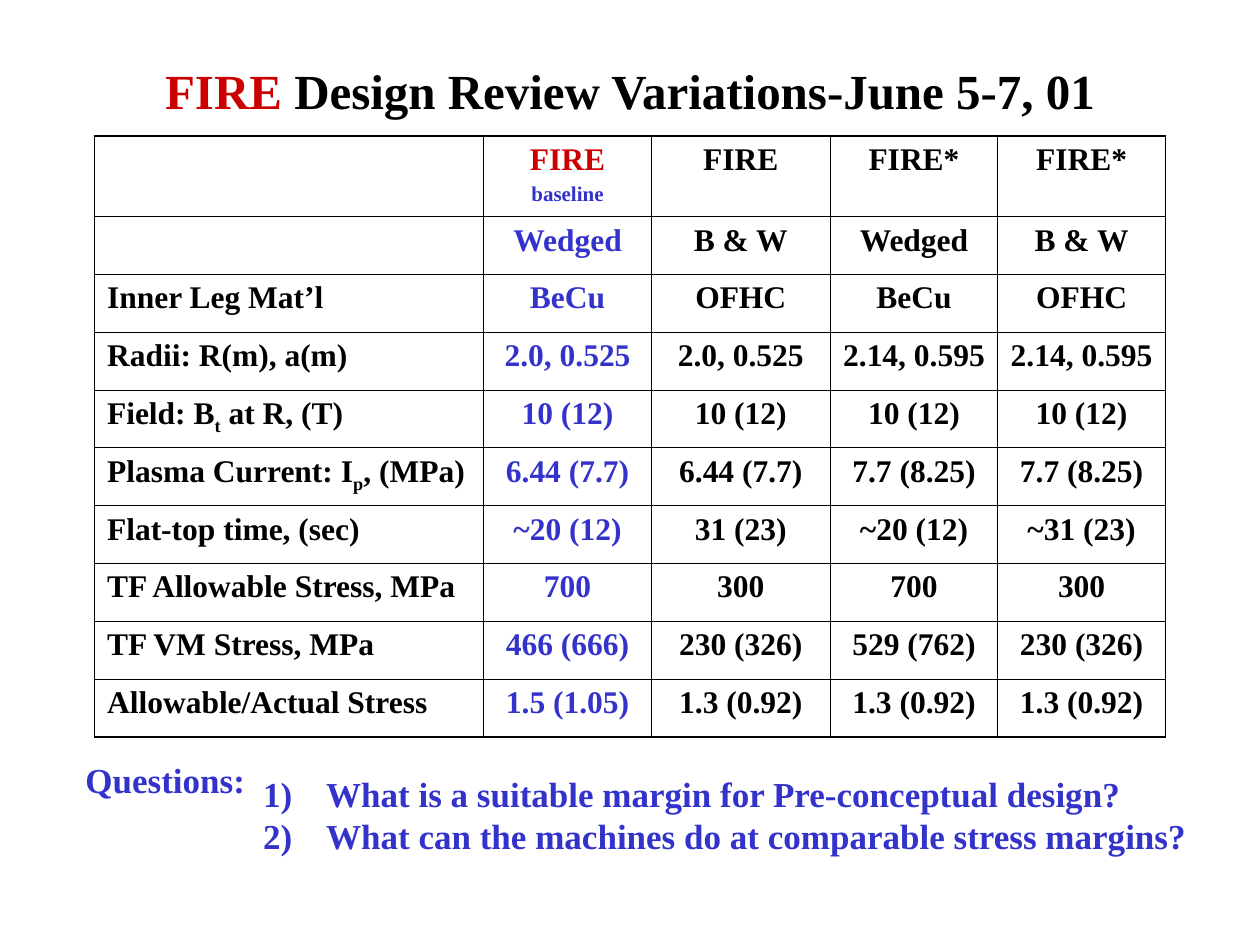
import pptx
import pptx.util
import pptx.dml.color
import pptx.enum.text
import pptx.oxml.ns
import lxml.etree

Inches, Pt = pptx.util.Inches, pptx.util.Pt
CENTER = pptx.enum.text.PP_ALIGN.CENTER
COLORS = {"red": "CC0000", "blue": "3333CC", "black": "000000"}


def add_run(paragraph, text, size, color, baseline=0):
    run = paragraph.add_run()
    run.text = text
    run.font.name = "Times New Roman"
    run.font.size = Pt(size)
    run.font.bold = True
    run.font.color.rgb = pptx.dml.color.RGBColor.from_string(COLORS[color])
    if baseline:
        run.font._element.set("baseline", str(baseline))


def add_element(parent, tag, **attributes):
    return lxml.etree.SubElement(parent, pptx.oxml.ns.qn(tag), **attributes)


deck = pptx.Presentation()
deck.slide_width, deck.slide_height = Inches(10), Inches(7.5)
slide = deck.slides.add_slide(deck.slide_layouts[5])

# Title
title = slide.shapes.title
title.left, title.top = Inches(0.75), Inches(0.42)
title.width, title.height = Inches(8.5), Inches(0.58)
title.text_frame.vertical_anchor = pptx.enum.text.MSO_ANCHOR.MIDDLE
heading = title.text_frame.paragraphs[0]
heading.alignment = CENTER
add_run(heading, "FIRE ", 28, "red")
add_run(heading, "Design Review Variations-June 5-7, 01", 28, "black")

# Design variations: label parts (the second one is a subscript), then four designs
variations = [
    ([], "FIRE", "FIRE", "FIRE*", "FIRE*"),
    ([], "Wedged", "B & W", "Wedged", "B & W"),
    (["Inner Leg Mat’l"], "BeCu", "OFHC", "BeCu", "OFHC"),
    (["Radii: R(m), a(m)"], "2.0, 0.525", "2.0, 0.525", "2.14, 0.595", "2.14, 0.595"),
    (["Field: B", "t", " at R, (T)"], "10 (12)", "10 (12)", "10 (12)", "10 (12)"),
    (["Plasma Current: I", "p", ", (MPa)"],
     "6.44 (7.7)", "6.44 (7.7)", "7.7 (8.25)", "7.7 (8.25)"),
    (["Flat-top time, (sec)"], "~20 (12)", "31 (23)", "~20 (12)", "~31 (23)"),
    (["TF Allowable Stress, MPa"], "700", "300", "700", "300"),
    (["TF VM Stress, MPa"], "466 (666)", "230 (326)", "529 (762)", "230 (326)"),
    (["Allowable/Actual Stress"], "1.5 (1.05)", "1.3 (0.92)", "1.3 (0.92)", "1.3 (0.92)"),
]
column_widths = [3.09, 1.33, 1.42, 1.33, 1.33]
last_row, last_column = len(variations) - 1, len(column_widths) - 1
comparison = slide.shapes.add_table(
    len(variations), len(column_widths),
    Inches(0.75), Inches(1.08), Inches(8.5), Inches(4.77)).table
comparison.first_row = comparison.horz_banding = False
for column, width in zip(comparison.columns, column_widths):
    column.width = Inches(width)
header_height = Inches(0.64)
for row in comparison.rows:
    row.height = (Inches(4.77) - header_height) // last_row
comparison.rows[0].height = header_height

for r, (label, *designs) in enumerate(variations):
    for c in range(len(column_widths)):
        cell = comparison.cell(r, c)
        entry = cell.text_frame.paragraphs[0]
        if c == 0:
            for part, text in enumerate(label):
                add_run(entry, text, 18, "black", -25000 if part == 1 else 0)
        else:
            entry.alignment = CENTER
            color = "black" if c > 1 else "red" if r == 0 else "blue"
            add_run(entry, designs[c - 1], 18, color)

        # Thicker lines around the outside
        properties = cell._tc.get_or_add_tcPr()
        edges = {"a:lnL": c == 0, "a:lnR": c == last_column,
                 "a:lnT": r == 0, "a:lnB": r == last_row}
        for edge, is_outer in edges.items():
            line = add_element(properties, edge, w=str(Pt(1.08 if is_outer else 0.45)))
            add_element(add_element(line, "a:solidFill"), "a:srgbClr", val=COLORS["black"])
        cell.fill.background()

baseline_note = comparison.cell(0, 1).text_frame.add_paragraph()
baseline_note.alignment = CENTER
baseline_note.space_before = Pt(3)
add_run(baseline_note, "baseline", 12, "blue")

# Questions
questions_label = slide.shapes.add_textbox(
    Inches(0.58), Inches(5.97), Inches(1.47), Inches(0.44))
questions_label.text_frame.word_wrap = False
add_run(questions_label.text_frame.paragraphs[0], "Questions:", 20, "blue")

questions = slide.shapes.add_textbox(
    Inches(1.99), Inches(6.08), Inches(7.53), Inches(1.1)).text_frame
questions.word_wrap = False
for number, text in enumerate(["What is a suitable margin for Pre-conceptual design?",
                               "What can the machines do at comparable stress margins?"]):
    question = questions.add_paragraph() if number else questions.paragraphs[0]
    numbering = question._p.get_or_add_pPr()
    numbering.set("marL", str(Inches(0.5)))
    numbering.set("indent", str(-Inches(0.5)))
    add_element(add_element(numbering, "a:buClr"), "a:srgbClr", val=COLORS["blue"])
    add_element(numbering, "a:buFontTx")
    add_element(numbering, "a:buAutoNum", type="arabicParenR")
    add_run(question, text, 20, "blue")

deck.save("out.pptx")
